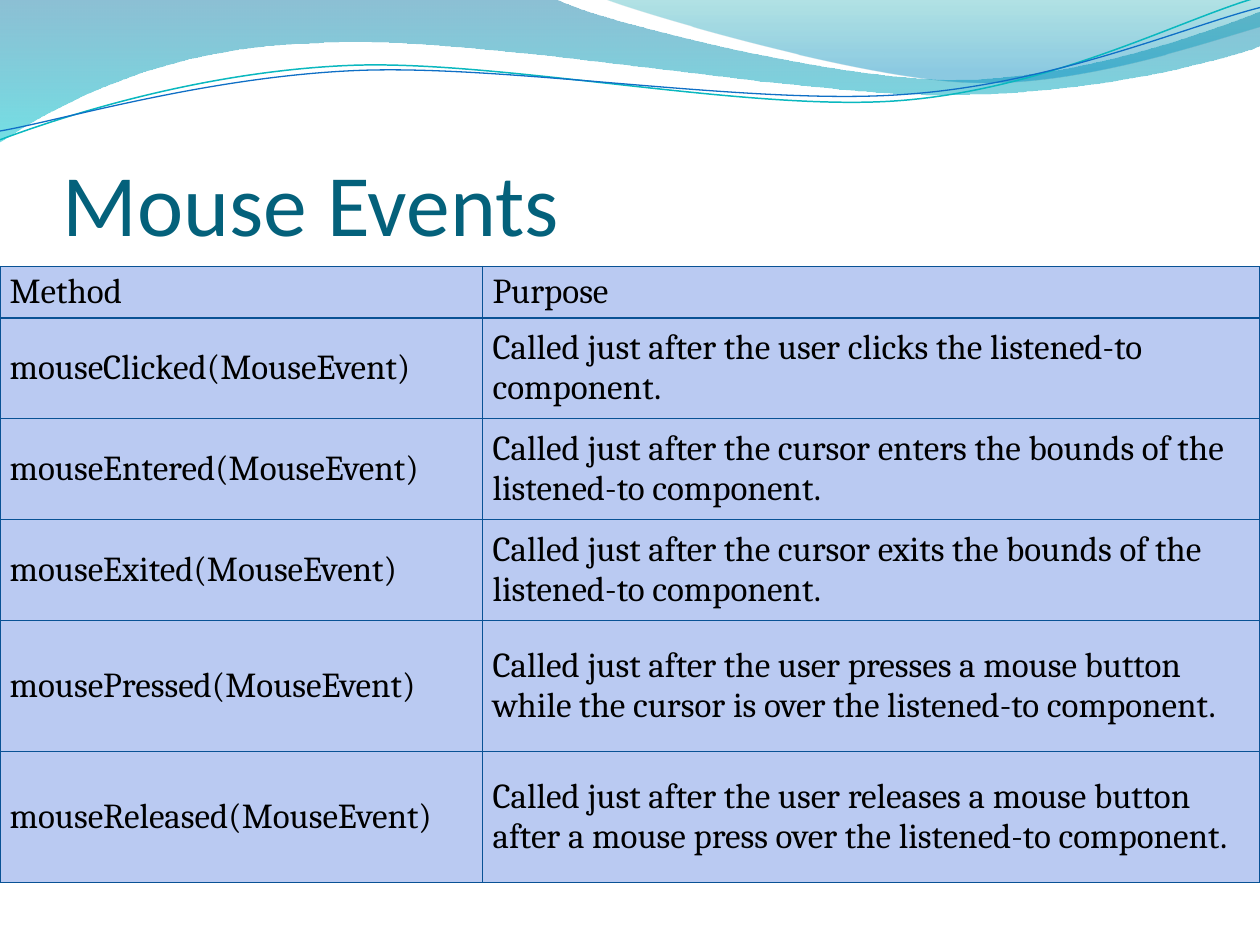
from lxml.etree import SubElement
from pptx import Presentation
from pptx.dml.color import RGBColor
from pptx.enum.text import MSO_ANCHOR as Anchor
from pptx.oxml.ns import qn
from pptx.util import Inches, Pt

TITLE_TEAL = RGBColor(0x04, 0x61, 0x7B)
BLACK = RGBColor(0, 0, 0)
CELL_BLUE = RGBColor(0xBA, 0xCA, 0xF2)
BORDER_BLUE = RGBColor(0x09, 0x52, 0x95)
DEEP_BLUE = RGBColor(0x00, 0x74, 0xA1)
CYAN = RGBColor(0x00, 0xC6, 0xCF)
SEA_GREEN = RGBColor(0x00, 0xA1, 0xA9)
SKY_BLUE = RGBColor(0x00, 0x8B, 0xBF)
LINE_TEAL = RGBColor(0x0A, 0xB8, 0xBF)
LINE_BLUE = RGBColor(0x0F, 0x6F, 0xC6)

deck = Presentation()
deck.slide_width, deck.slide_height = Inches(10), Inches(7.5)
slide = deck.slides.add_slide(deck.slide_layouts[6])
unit = deck.slide_width // 100


def write(holder, frame, text, font, size, color, anchor, margins):
    holder.vertical_anchor = anchor
    holder.margin_left, holder.margin_top, holder.margin_right, holder.margin_bottom = map(Pt, margins)
    run = frame.paragraphs[0].add_run()
    run.text = text
    run.font.name, run.font.size = font, Pt(size)
    run.font.color.rgb = color


def draw_wave(start, segments, closed):
    corners = [pair for segment in segments for pair in zip(segment[::2], segment[1::2])]
    builder = slide.shapes.build_freeform(start[0] * unit, start[1] * unit, scale=1.0)
    builder.add_line_segments([(x * unit, y * unit) for x, y in corners], close=closed)
    wave = builder.convert_to_shape()
    wave.shadow.inherit = False
    steps = iter(list(wave._element.iter(qn("a:lnTo"))))
    for segment in segments:
        step = next(steps)
        if len(segment) == 6:
            curve = step.makeelement(qn("a:cubicBezTo"))
            step.addprevious(curve)
            for part in (step, next(steps), next(steps)):
                curve.append(part[0])
                part.getparent().remove(part)
    return wave


bands = [
    ((0, 0), [(44, -0.1), (47.6, 1.7, 66.4, 6.3, 75.8, 6.3), (85.3, 6.3, 95.8, 2.6, 100, 0.9),
              (100.1, 3.6), (98.3, 4.4, 87, 7.6, 74.6, 7.5), (62.2, 7.5, 38.2, 2.8, 25.7, 3.4),
              (12.9, 3.6, 4.6, 8.3, -0.1, 11.3), (0, 0)],
     [(0, DEEP_BLUE, 45), (1, CYAN, 55)]),
    ((47.9, -0.1), [(50.9, 1.1, 68.2, 6.2, 76.9, 6.5), (85.6, 6.9, 96.1, 3.2, 100, 2.1), (100, 0),
                    (47.9, -0.1)],
     [(0, SEA_GREEN, 30), (0.8, SKY_BLUE, 45)]),
]
for start, segments, stops in bands:
    band = draw_wave(start, segments, closed=True)
    band.line.fill.background()
    band.fill.gradient()
    band.fill.gradient_angle = 270
    for stop, (position, color, opacity) in zip(band.fill.gradient_stops, stops):
        stop.position = position
        stop.color.rgb = color
    tints = band._element.spPr.find(qn("a:gradFill")).iter(qn("a:srgbClr"))
    for tint, (position, color, opacity) in zip(tints, stops):
        SubElement(tint, qn("a:alpha"), val=str(opacity * 1000))

strands = [
    ((0, 11.1), [(4.8, 9.3, 15.8, 5.7, 27.7, 5.2), (39.5, 4.7, 59.3, 8.9, 71.3, 8),
                 (83.3, 7.1, 93.8, 1.5, 99.8, -0.2)], LINE_TEAL, 0.85),
    ((0, 10.4), [(4.7, 9.6, 16.4, 6.1, 28.3, 5.6), (40.3, 5.1, 59.7, 8.4, 71.7, 7.5),
                 (83.6, 6.7, 94.1, 2.1, 100, 0.6)], LINE_BLUE, 0.75),
]
for start, segments, color, width in strands:
    strand = draw_wave(start, segments, closed=False)
    strand.fill.background()
    strand.line.color.rgb = color
    strand.line.width = Pt(width)

title = slide.shapes.add_textbox(*(int(share * unit) for share in (5, 7.66, 90, 12.5))).text_frame
title.word_wrap = True
write(title, title, "Mouse Events", font="Calibri", size=50, color=TITLE_TEAL,
      anchor=Anchor.BOTTOM, margins=(0, 3.6, 0, 0))

events = [
    ("Method", "Purpose"),
    ("mouseClicked(MouseEvent)", "Called just after the user clicks the listened-to component."),
    ("mouseEntered(MouseEvent)",
     "Called just after the cursor enters the bounds of the listened-to component."),
    ("mouseExited(MouseEvent)",
     "Called just after the cursor exits the bounds of the listened-to component."),
    ("mousePressed(MouseEvent)",
     "Called just after the user presses a mouse button while the cursor is over the listened-to component."),
    ("mouseReleased(MouseEvent)",
     "Called just after the user releases a mouse button after a mouse press over the listened-to component."),
]
column_widths = [38.33, 61.67]
row_heights = [3.2] + [8] * 3 + [10.4] * 2
table = slide.shapes.add_table(
    len(events), len(column_widths), 0, int(21.15 * unit),
    deck.slide_width, int(sum(row_heights) * unit)).table
for column, width in zip(table.columns, column_widths):
    column.width = int(width * unit)
for row, height, texts in zip(table.rows, row_heights, events):
    row.height = int(height * unit)
    for cell, text in zip(row.cells, texts):
        write(cell, cell.text_frame, text, font="Cambria", size=20, color=BLACK,
              anchor=Anchor.MIDDLE, margins=(5.5, 2.7, 5.5, 2.7))
        properties = cell._tc.get_or_add_tcPr()
        for side in ("lnL", "lnR", "lnT", "lnB"):
            border = SubElement(properties, qn(f"a:{side}"), w=str(int(Pt(0.75))))
            SubElement(SubElement(border, qn("a:solidFill")), qn("a:srgbClr"), val=str(BORDER_BLUE))
        cell.fill.solid()
        cell.fill.fore_color.rgb = CELL_BLUE

deck.save("out.pptx")
